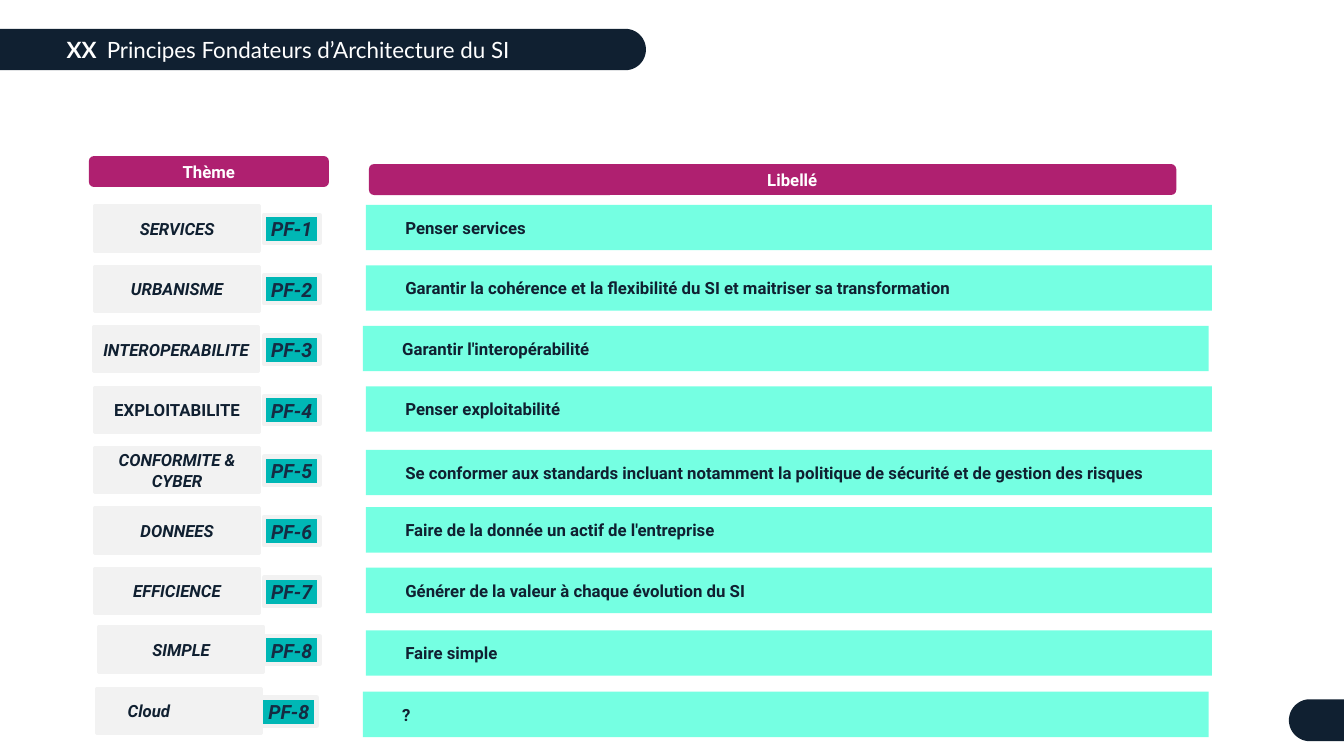
from dataclasses import dataclass
from math import cos, pi, sin

from lxml.etree import SubElement
from pptx import Presentation
from pptx.dml.color import RGBColor as Rgb
from pptx.enum.shapes import MSO_AUTO_SHAPE_TYPE as Kind
from pptx.enum.text import MSO_ANCHOR as Anchor, PP_ALIGN as Align
from pptx.oxml.ns import qn
from pptx.util import Pt

HUES = {
    "navy": "102031",
    "ink": "152B42",
    "white": "FFFFFF",
    "mint": "32FFD4",
    "teal": "00B7B5",
    "grey": "F2F2F2",
    "plum": "AF2070",
}


@dataclass(frozen=True)
class Style:
    size: float = 12
    hue: str = "navy"
    face: str = "Roboto"
    bold: bool = True
    slant: bool = False
    align: Align = Align.CENTER
    left: float = 2.9
    right: float = 2.9
    edge: float = 3.6


@dataclass(frozen=True)
class Look:
    fill: str
    line: float = 0
    alpha: int = 100
    kind: Kind = Kind.RECTANGLE


@dataclass(frozen=True)
class Row:
    tag: str
    theme: str
    label: str
    x: float = 67.7
    tag_x: float = 188.6
    label_x: float = 261.4
    dy: float = 0
    label_dy: float = 0
    slant: bool = True
    pad: float = 2.9


# Styles
TITLE = Style(16, "white", "Lato", False, align=Align.LEFT,
              left=0, right=0, edge=0)
NUMBER = Style(16, "white", "Lato", align=Align.RIGHT, left=0, right=0, edge=0)
THEME_HEAD = Style(hue="white", left=0, right=0)
LABEL_HEAD = Style(hue="white", left=28.1, right=0)
TAG = Style(14, "ink", slant=True)
LABEL = Style(align=Align.LEFT, left=28.1, right=0)

HEAD = Look("plum", kind=Kind.ROUNDED_RECTANGLE)
THEME_BOX = Look("grey", 2.25)
TAG_BOX = Look("teal", 3)
LABEL_BOX = Look("mint", alpha=67)

# Rows of principles
TOP, STEP = 146.9, 43.2
ROWS = [
    Row("PF-1", "SERVICES", "Penser services"),
    Row("PF-2", "URBANISME", "Garantir la cohérence et la flexibilité du SI "
        "et maitriser sa transformation"),
    Row("PF-3", "INTEROPERABILITE", "Garantir l'interopérabilité",
        x=67, label_x=259.2),
    Row("PF-4", "EXPLOITABILITE", "Penser exploitabilité", slant=False),
    Row("PF-5", "CONFORMITE & CYBER", "Se conformer aux standards incluant "
        "notamment la politique de sécurité et de gestion des risques",
        label_dy=2.2),
    Row("PF-6", "DONNEES", "Faire de la donnée un actif de l'entreprise"),
    Row("PF-7", "EFFICIENCE", "Générer de la valeur à chaque évolution du SI"),
    Row("PF-8", "SIMPLE", "Faire simple", x=70.6, dy=-1.4, label_dy=2.9),
    Row("PF-8", "Cloud", "?", x=69.1, tag_x=186.5, label_x=259.2,
        dy=-0.7, label_dy=2.9, pad=46),
]

deck = Presentation()
deck.slide_width, deck.slide_height = Pt(960), Pt(540)
slide = deck.slides.add_slide(deck.slide_layouts[6])
shapes = slide.shapes


def tint(name: str) -> Rgb:
    return Rgb.from_string(HUES[name])


def write(shape, text: str, style: Style) -> None:
    frame = shape.text_frame
    form = {
        "word_wrap": True,
        "vertical_anchor": Anchor.MIDDLE,
        "margin_left": Pt(style.left),
        "margin_right": Pt(style.right),
        "margin_top": Pt(style.edge),
        "margin_bottom": Pt(style.edge),
    }
    for key, value in form.items():
        setattr(frame, key, value)
    para = frame.paragraphs[0]
    para.alignment = style.align
    run = para.add_run()
    run.text = text
    form = {
        "name": style.face,
        "size": Pt(style.size),
        "bold": style.bold,
        "italic": style.slant,
    }
    for key, value in form.items():
        setattr(run.font, key, value)
    run.font.color.rgb = tint(style.hue)


def paint(shape, look: Look) -> None:
    shape.shadow.inherit = False
    shape.fill.solid()
    shape.fill.fore_color.rgb = tint(look.fill)
    if look.alpha < 100:
        hue = shape.fill._xPr.find(".//" + qn("a:srgbClr"))
        SubElement(hue, qn("a:alpha"), val=str(look.alpha * 1000))
    if look.line:
        shape.line.width = Pt(look.line)
        shape.line.color.rgb = tint("grey")
    else:
        shape.line.fill.background()


def box(x: float, y: float, wide: float, high: float,
        text: str, look: Look, style: Style) -> None:
    shape = shapes.add_shape(look.kind, Pt(x), Pt(y), Pt(wide), Pt(high))
    paint(shape, look)
    write(shape, text, style)


def note(x: float, y: float, wide: float, high: float,
         text: str, style: Style) -> None:
    write(shapes.add_textbox(Pt(x), Pt(y), Pt(wide), Pt(high)), text, style)


def band(flat: float, tip: float, y: float, high: float) -> None:
    """Draw a bar with a straight end at flat and a round end at tip."""
    half = high / 2
    way = 1 if tip > flat else -1
    mid = tip - way * half
    turns = [pi * (i / 32 - 0.5) for i in range(33)]
    arc = [(Pt(mid + way * half * cos(t)), Pt(y + half + half * sin(t)))
           for t in turns]
    form = shapes.build_freeform(Pt(flat), Pt(y))
    form.add_line_segments(arc + [(Pt(flat), Pt(y + high))], close=True)
    paint(form.convert_to_shape(), Look("navy"))


# Title bar and corner tab
band(960, 920.7, 499.5, 30)
band(0, 461.4, 20.6, 29.6)
note(76.3, 20.6, 374.4, 29.6, "Principes Fondateurs d’Architecture du SI", TITLE)
note(42.5, 20.6, 26.6, 29.6, "XX", NUMBER)

# Column heads
box(63.5, 111.5, 171.5, 22.1, "Thème", HEAD, THEME_HEAD)
box(263.5, 117.2, 576.7, 22.1, "Libellé", HEAD, LABEL_HEAD)

# Principles
for i, row in enumerate(ROWS):
    y = TOP + i * STEP + row.dy
    box(row.label_x, y - 0.6 + row.label_dy, 604.2, 32.4,
        row.label, LABEL_BOX, LABEL)
    box(row.x, y, 117.6, 32.4, row.theme, THEME_BOX,
        Style(slant=row.slant, right=row.pad))
    box(row.tag_x, y + 6.4, 39.6, 20.2, row.tag, TAG_BOX, TAG)

deck.save("out.pptx")
